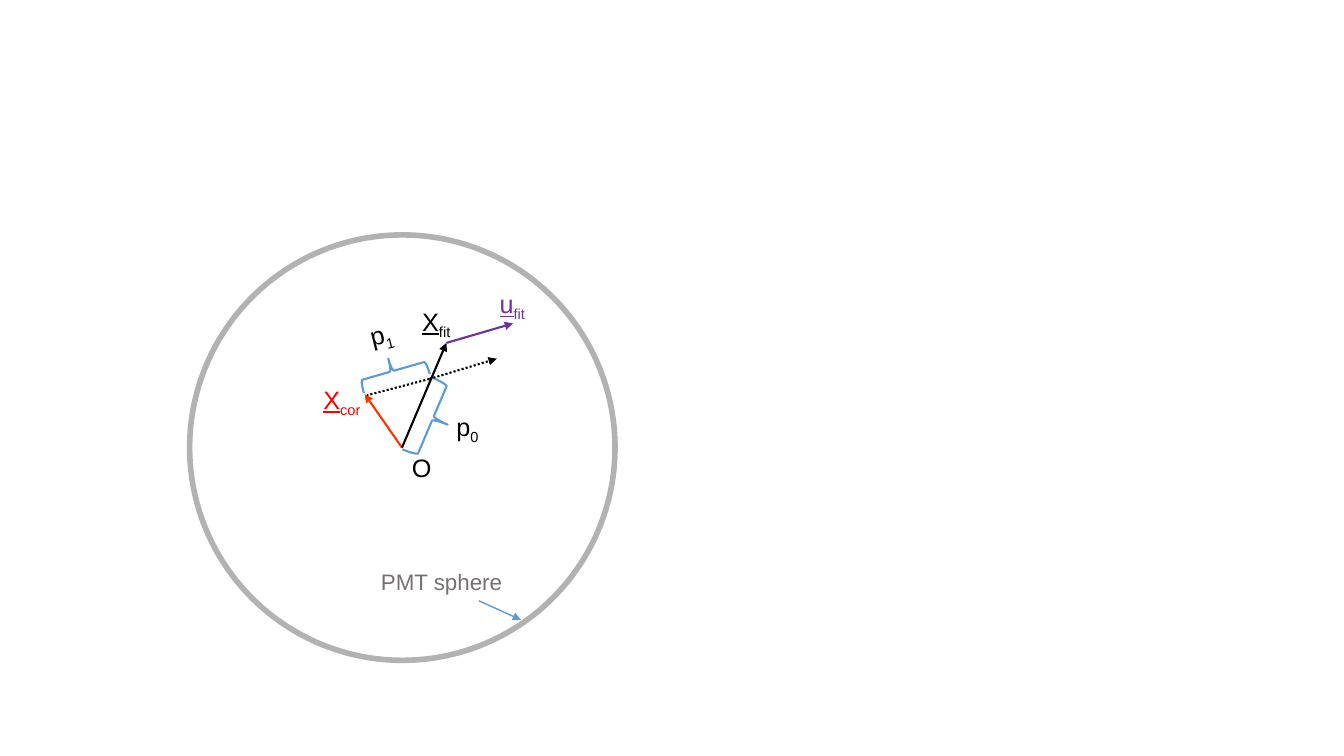
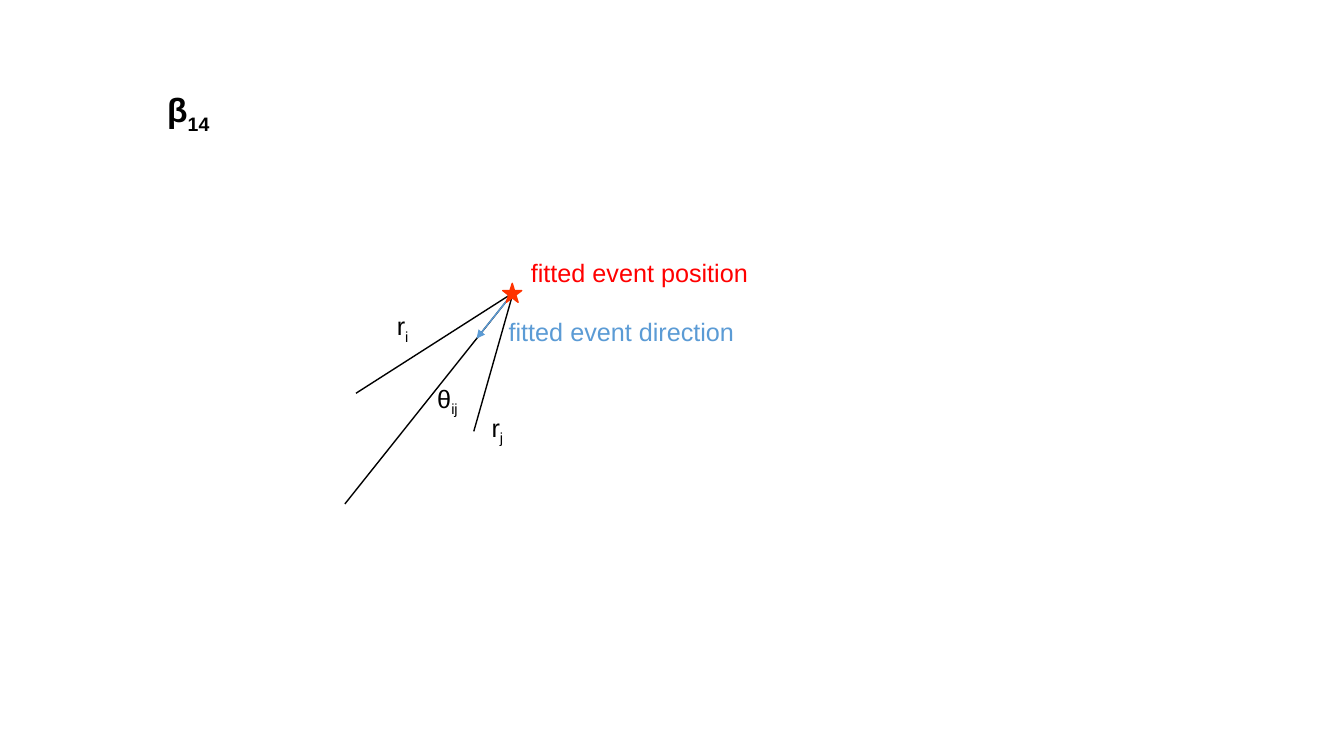
"""Build two slides of event-fit geometry: the position correction and the beta-14 angles."""
import pptx
import pptx.dml.color
import pptx.enum.dml
import pptx.enum.shapes
import pptx.enum.text
import pptx.oxml.ns
import pptx.util
from lxml import etree

Cm, Pt = pptx.util.Cm, pptx.util.Pt
SHAPES = pptx.enum.shapes.MSO_SHAPE
FONT = "Arial"
LABEL_HEIGHT = 1.02
COLOURS = {
    "black": "000000", "red": "FF0000", "orange": "FF3300", "violet": "7030A0",
    "blue": "5B9BD5", "ring": "B2B2B2", "grey": "767171",
}

ORIGIN, FIT, CROSSING = (10.13, 11.28), (11.25, 8.64), (10.82, 9.55)
EVENT = (12.93, 7.38)

# fmt: off
CORRECTION = {
    "shapes": [
        dict(kind=SHAPES.OVAL, at=(4.78, 5.92, 10.72, 10.72), colour="ring", width=4),
        dict(kind=SHAPES.RIGHT_BRACE, at=(10.49, 9.6, 0.81, 1.96), colour="blue", width=1.5,
             rotation=23, adjust=(0.08, 0.48)),
        dict(kind=SHAPES.RIGHT_BRACE, at=(9.58, 8.48, 0.66, 1.73), colour="blue", width=1.5,
             rotation=254, adjust=(0.08, 0.48)),
    ],
    "lines": [
        dict(start=(12.07, 15.14), end=(13.13, 15.62), colour="blue", arrow=True),
        dict(start=ORIGIN, end=(9.19, 9.93), colour="orange", width=1.5, arrow=True),
        dict(start=ORIGIN, end=FIT, width=1.5, arrow=True),
        dict(start=FIT, end=(12.93, 8.15), colour="violet", width=1.5, arrow=True),
        dict(start=CROSSING, end=(12.52, 9.04), width=1.5, arrow=True, dotted=True),
        dict(start=CROSSING, end=(9.25, 9.96), width=1.5, dotted=True),
    ],
    "labels": [
        dict(text="PMT sphere", at=(9.35, 14.2, 3.78), colour="grey", size=16),
        dict(text="O", at=(10.13, 11.28, 4.45)),
        dict(text="X", sub="fit", at=(10.39, 7.59, 1.27), underline=True),
        dict(text="X", sub="cor", at=(7.9, 9.55, 4.45), colour="red", underline=True),
        dict(text="p", sub="0", at=(11.25, 10.24, 4.45)),
        dict(text="p", sub="1", at=(9.07, 7.9, 1.12), rotation=346),
        dict(text="u", sub="fit", at=(12.34, 7.14, 4.45), colour="violet", underline=True),
    ],
}
ANGLES = {
    "title": ("β", "14"),
    "lines": [
        dict(start=EVENT, end=(11.94, 10.87)),
        dict(start=EVENT, end=(8.69, 12.7)),
        dict(start=EVENT, end=(8.97, 9.91)),
        dict(start=EVENT, end=(12.01, 8.53), colour="blue", arrow=True),
    ],
    "shapes": [
        dict(kind=SHAPES.STAR_5_POINT, at=(12.67, 7.14, 0.48, 0.48), colour="orange", filled=True),
    ],
    "labels": [
        dict(text="fitted event position", at=(13.13, 6.35, 6.3), colour="red"),
        dict(text="fitted event direction", at=(12.57, 7.85, 6.5), colour="blue"),
        dict(text="θ", sub="ij", at=(10.77, 9.53, 6.05)),
        dict(text="r", sub="i", at=(9.75, 7.7, 0.9)),
        dict(text="r", sub="j", at=(12.14, 10.26, 1.02)),
    ],
}
# fmt: on


def rgb(name):
    return pptx.dml.color.RGBColor.from_string(COLOURS[name])


def write(paragraph, text, sub="", colour="black", size=18, bold=False, underline=False):
    paragraph.text = text
    if sub:
        subscript = paragraph.add_run()
        subscript.text = sub
        subscript.font._element.set("baseline", "-25000")
    for run in paragraph.runs:
        run.font.name, run.font.size, run.font.bold = FONT, Pt(size), bold
        run.font.color.rgb = rgb(colour)
    paragraph.runs[0].font.underline = underline


def add_outline(slide, kind, at, colour, width=1, rotation=0, adjust=(), filled=False):
    outline = slide.shapes.add_shape(kind, *map(Cm, at))
    outline.shadow.inherit = False
    outline.rotation = rotation
    for index, value in enumerate(adjust):
        outline.adjustments[index] = value
    if filled:
        outline.fill.solid()
        outline.fill.fore_color.rgb = rgb(colour)
    else:
        outline.fill.background()
    outline.line.color.rgb = rgb(colour)
    outline.line.width = Pt(width)


def add_line(slide, start, end, colour="black", width=1, arrow=False, dotted=False):
    straight = pptx.enum.shapes.MSO_CONNECTOR.STRAIGHT
    segment = slide.shapes.add_connector(straight, *map(Cm, start + end))
    segment.line.color.rgb = rgb(colour)
    segment.line.width = Pt(width)
    if dotted:
        segment.line.dash_style = pptx.enum.dml.MSO_LINE.ROUND_DOT
    properties = segment._element.spPr
    if arrow:
        stroke = segment.line._get_or_add_ln()
        etree.SubElement(stroke, pptx.oxml.ns.qn("a:tailEnd"), type="triangle")
    etree.SubElement(properties, pptx.oxml.ns.qn("a:effectLst"))


def add_label(slide, at, rotation=0, **wording):
    label = slide.shapes.add_textbox(*map(Cm, at + (LABEL_HEIGHT,)))
    label.rotation = rotation
    label.text_frame.word_wrap = True
    write(label.text_frame.paragraphs[0], **wording)


def set_title(slide, text, sub):
    title = slide.shapes.title
    title.left, title.top, title.width, title.height = map(Cm, (3.96, 0.94, 29.21, 3.68))
    title.text_frame.vertical_anchor = pptx.enum.text.MSO_ANCHOR.MIDDLE
    heading = title.text_frame.paragraphs[0]
    heading.alignment = pptx.enum.text.PP_ALIGN.LEFT
    heading.line_spacing = 0.9
    write(heading, text, sub, size=24, bold=True)


def main():
    deck = pptx.Presentation()
    deck.slide_width, deck.slide_height = Cm(33.87), Cm(19.05)
    title_only, blank = deck.slide_layouts[5], deck.slide_layouts[6]
    adders = {"shapes": add_outline, "lines": add_line, "labels": add_label}
    for content in (CORRECTION, ANGLES):
        slide = deck.slides.add_slide(title_only if "title" in content else blank)
        for part, items in content.items():
            if part == "title":
                set_title(slide, *items)
                continue
            for item in items:
                adders[part](slide, **item)
    deck.save("out.pptx")


if __name__ == "__main__":
    main()
